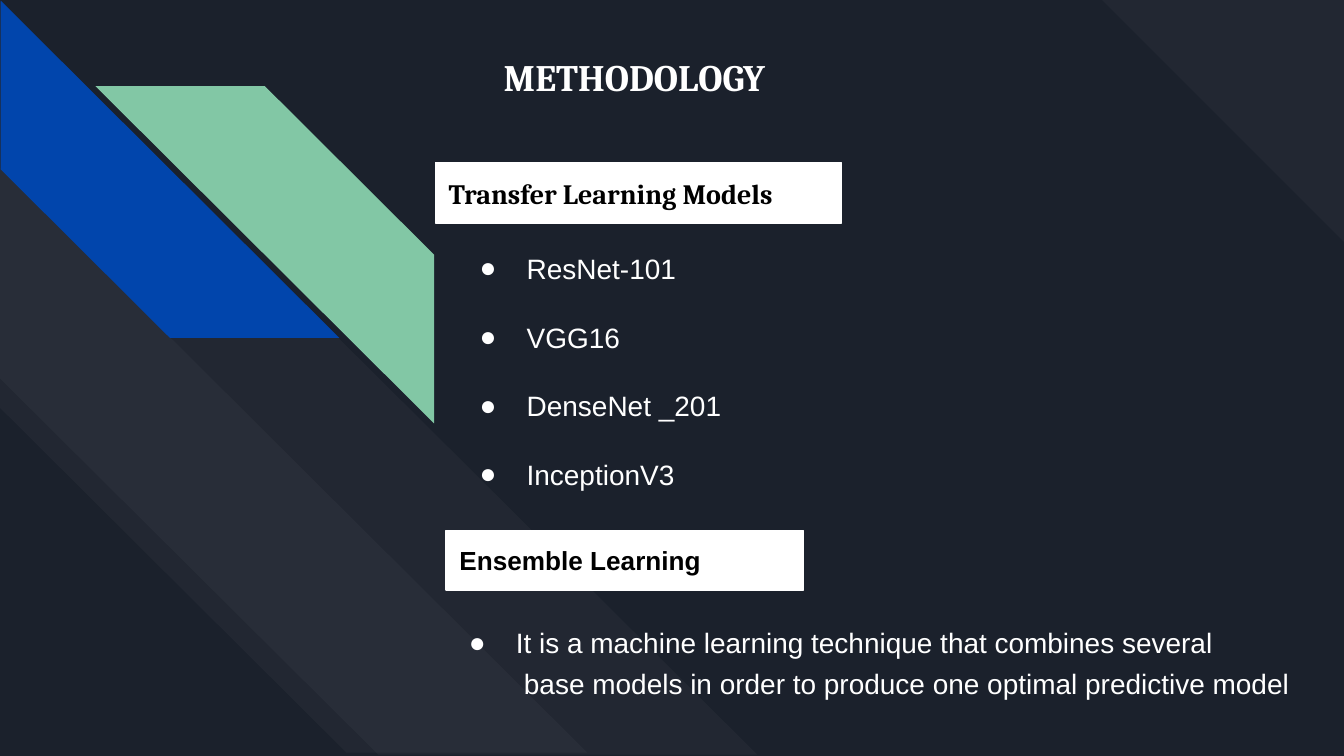
from lxml import etree
from pptx import Presentation
from pptx.dml.color import RGBColor
from pptx.enum.shapes import MSO_SHAPE
from pptx.enum.text import MSO_ANCHOR, MSO_AUTO_SIZE, PP_ALIGN
from pptx.oxml.ns import qn
from pptx.util import Inches, Pt

STRIPE, RECT = MSO_SHAPE.DIAGONAL_STRIPE, MSO_SHAPE.RECTANGLE
TOP, GROW = MSO_ANCHOR.TOP, MSO_AUTO_SIZE.SHAPE_TO_FIT_TEXT
LEFT, JUSTIFY = PP_ALIGN.LEFT, PP_ALIGN.JUSTIFY

BACKGROUND, WHITE, BLACK = "1B212C", "FFFFFF", "000000"
BLUE, GREEN = "0145AC", "82C7A5"

STRIPES = [
    ((8.2, 0, 1.8, 1.8), 90, False, 0, WHITE, 3),
    ((0.01, -0.01, 5.61, 5.64), 270, False, 0.5, WHITE, 3),
    ((0.01, 1.24, 4.35, 4.37), 270, False, 0.59, WHITE, 3),
    ((0.01, 0, 2.51, 2.52), 270, False, 0.5, BLUE, 100),
    ((0.71, 0.64, 2.52, 2.51), 0, True, 0.5, GREEN, 100),
]
TITLE = "METHODOLOGY"
HEADINGS = [
    ("Transfer Learning Models", (3.24, 1.21, 3.02, 0.45), 15, "Cambria"),
    ("Ensemble Learning", (3.32, 3.95, 2.66, 0.44), 14, "Arial"),
]
MODELS = ["ResNet-101", "VGG16", "DenseNet _201", "InceptionV3"]
DEFINITION = [
    "It is a machine learning technique that combines several",
    "base models in order to produce one optimal predictive model",
]


def rgb(color):
    return RGBColor.from_string(color)


def add_stripe(s, box, rotation, flip, adjust, color, opacity):
    sp = s.shapes.add_shape(STRIPE, *map(Inches, box))
    sp.adjustments[0] = adjust
    sp.rotation = rotation
    sp.shadow.inherit = False
    sp.line.fill.background()
    sp.fill.solid()
    sp.fill.fore_color.rgb = rgb(color)
    if flip:
        sp.element.spPr.find(qn("a:xfrm")).set("flipH", "1")
    if opacity < 100:
        clr = sp.element.spPr.find(qn("a:solidFill"))[0]
        etree.SubElement(clr, qn("a:alpha")).set("val", str(opacity * 1000))


def write(sp, lines, size, font, color, bold=False, align=LEFT):
    tf = sp.text_frame
    tf.word_wrap = True
    tf.auto_size = GROW
    tf.vertical_anchor = TOP
    tf.margin_left = tf.margin_right = Inches(0.1)
    tf.margin_top = tf.margin_bottom = Inches(0.1)
    tf.text = "\n".join(lines)
    for p in tf.paragraphs:
        p.alignment = align
        f = p.runs[0].font
        f.size, f.name, f.bold = Pt(size), font, bold
        f.color.rgb = rgb(color)
    return tf.paragraphs


def add_text(s, box, *args, **kwargs):
    return write(s.shapes.add_textbox(*map(Inches, box)), *args, **kwargs)


def add_heading(s, text, box, size, font):
    sp = s.shapes.add_shape(RECT, *map(Inches, box))
    sp.shadow.inherit = False
    sp.fill.solid()
    sp.fill.fore_color.rgb = rgb(WHITE)
    sp.line.color.rgb = rgb(WHITE)
    sp.line.width = Pt(0.75)
    write(sp, [text], size, font, BLACK, bold=True)


def indent(p, left, hanging=0):
    pPr = p._p.get_or_add_pPr()
    pPr.set("marL", str(Inches(left)))
    pPr.set("indent", str(-Inches(hanging)))
    return pPr


def add_bullet(p):
    pPr = indent(p, 0.5, 0.35)
    clr = etree.SubElement(pPr, qn("a:buClr"))
    etree.SubElement(clr, qn("a:srgbClr")).set("val", WHITE)
    etree.SubElement(pPr, qn("a:buFont")).set("typeface", "Arial")
    etree.SubElement(pPr, qn("a:buChar")).set("char", "●")


prs = Presentation()
prs.slide_width, prs.slide_height = Inches(10), Inches(10) * 9 // 16
s = prs.slides.add_slide(prs.slide_layouts[6])
s.background.fill.solid()
s.background.fill.fore_color.rgb = rgb(BACKGROUND)

for stripe in STRIPES:
    add_stripe(s, *stripe)

models = add_text(s, (3.32, 1.77, 6.49, 2.22), MODELS, 15, "Arial", WHITE)
for i, p in enumerate(models):
    p.space_before = Pt(18.8 if i else 0)
    add_bullet(p)

add_text(s, (3.65, 0.3, 4.76, 0.54), [TITLE], 20, "Cambria", WHITE, bold=True)

for heading in HEADINGS:
    add_heading(s, *heading)

definition = add_text(s, (3.24, 4.52, 7.13, 1.03), DEFINITION, 15, "Arial", WHITE, align=JUSTIFY)
for p in definition:
    p.line_spacing = 1.15
    p.space_before = Pt(1)
add_bullet(definition[0])
indent(definition[1], 0.56)

prs.save("out.pptx")
